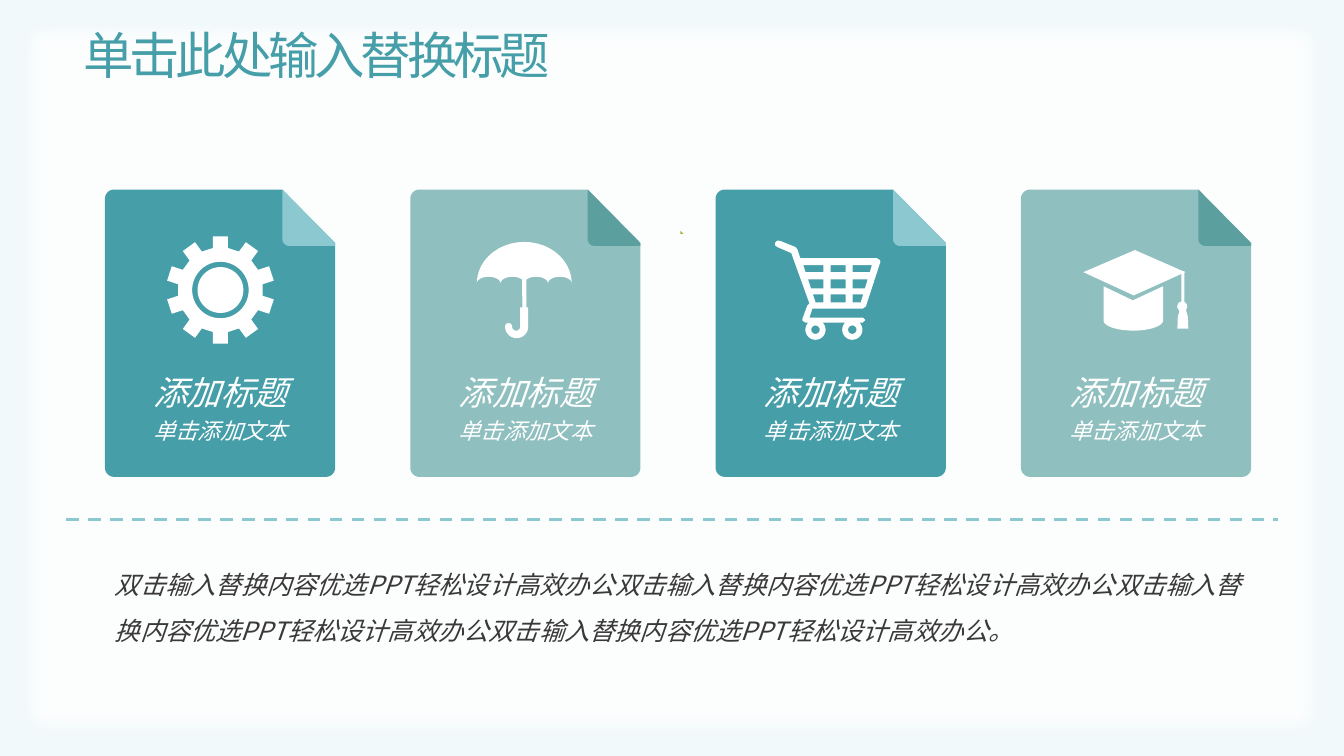
import math

import pptx
import pptx.dml.color
import pptx.enum.dml
import pptx.enum.shapes
import pptx.enum.text
import pptx.oxml
import pptx.oxml.ns
import pptx.util

Pt = pptx.util.Pt
MSO = pptx.enum.shapes.MSO_SHAPE
PP_ALIGN = pptx.enum.text.PP_ALIGN
JP, SC = "Noto Sans CJK JP", "Noto Sans CJK SC"
WHITE, TEAL, SAGE, AQUA, PINE = "FFFFFF", "459EA8", "8FBFBE", "8BC8CF", "5B9F9E"

TITLE = "单击此处输入替换标题"
BODY = "双击输入替换内容优选PPT轻松设计高效办公" * 4 + "。"
CARDS = [  # heading, caption, card colour, fold colour, icon
    ("添加标题", "单击添加文本", TEAL, AQUA, "gear"),
    ("添加标题", "单击添加文本", SAGE, PINE, "umbrella"),
    ("添加标题", "单击添加文本", TEAL, AQUA, "cart"),
    ("添加标题", "单击添加文本", SAGE, PINE, "cap"),
]
CARD_LEFT, CARD_TOP, CARD_PITCH = 75, 135.4, 218.1
CARD_W, CARD_H, FOLD_X, FOLD_Y = 164.4, 205.2, 126.7, 38.2

CART_FRAME = [
    (46.1, 36.7), (56.9, 41), (58.3, 42.5), (60.5, 49), (115.2, 49), (117.4, 50.4),
    (117.6, 51.8), (107.3, 83.5), (105.1, 85), (69.1, 85), (67, 91.4), (105.1, 91.4),
    (106.9, 93.2), (105.1, 95), (64.1, 95), (61.9, 93.6), (61.9, 92.5), (65.5, 82.8),
    (67, 81.4), (54, 45.4), (43.9, 41), (42.4, 39.7), (42.6, 37.6), (44.2, 36.4),
]
CART_ROWS = [(54, 59), (64.1, 70.6), (74.9, 80.6)]


def rgb(h):
    return pptx.dml.color.RGBColor.from_string(h)


def arc(cx, cy, rx, a0, a1, ry=None):
    """Points on an ellipse from angle a0 to a1, in degrees clockwise from the right."""
    n = max(4, round(abs(a1 - a0) / 8))
    angles = [math.radians(a0 + (a1 - a0) * i / n) for i in range(n + 1)]
    return [(cx + rx * math.cos(a), cy + (ry or rx) * math.sin(a)) for a in angles]


def paint(sp, color):
    sp.shadow.inherit = False
    sp.fill.solid()
    sp.fill.fore_color.rgb = rgb(color)
    sp.line.fill.background()
    return sp


def outline(left, top, color, *contours):
    """One filled freeform; contours are measured from (left, top)."""
    placed = [[(Pt(left + x), Pt(top + y)) for x, y in c] for c in contours]
    fb = s.shapes.build_freeform(*placed[0][0])
    fb.add_line_segments(placed[0][1:])
    for c in placed[1:]:
        fb.move_to(*c[0])
        fb.add_line_segments(c[1:])
    return paint(fb.convert_to_shape(), color)


def preset(kind, x, y, w, h, color):
    return paint(s.shapes.add_shape(kind, Pt(x), Pt(y), Pt(w), Pt(h)), color)


def write(x, y, w, h, lines, color, font, align, spacing, italic=True):
    """Text box with one paragraph per (text, size) pair."""
    tf = s.shapes.add_textbox(Pt(x), Pt(y), Pt(w), Pt(h)).text_frame
    tf.word_wrap = True
    for i, (text, size) in enumerate(lines):
        p = tf.add_paragraph() if i else tf.paragraphs[0]
        p.text, p.alignment, p.line_spacing = text, align, spacing
        f = p.runs[0].font
        f.size, f.italic, f.name = Pt(size), italic, font
        f.color.rgb = rgb(color)
        ea = pptx.oxml.parse_xml(f'<a:ea {pptx.oxml.ns.nsdecls("a")} typeface="{font}"/>')
        p.runs[0].font._element.append(ea)
    return tf


def gear(x, y):
    cx, cy, half, root, tip = 82.5, 71.8, 5.4, 30, 38.3
    rim = []
    for k in range(10):
        c, d = math.cos(math.radians(36 * k)), math.sin(math.radians(36 * k))
        tooth = [(-half, -root), (-half, -tip), (half, -tip), (half, -root)]
        rim += [(cx + u * c - v * d, cy + u * d + v * c) for u, v in tooth]
    outline(x, y, WHITE, rim, arc(cx, cy, 20.2, 0, 360), arc(cx, cy, 16.4, 0, 360))


def umbrella(x, y):
    cx, rim, r, bump = 81.4, 67, 33.9, 8.48

    def scallop(i, a0, a1):
        return arc(cx + i * bump, rim, bump, a0, a1, 4.7)

    outline(x, y, WHITE,
            arc(cx, rim, r, 180, 360, 29.6) + scallop(3, 0, -180) + scallop(1, 0, -145)
            + [(82.9, 84.2), (84.2, 84.2)] + arc(75.95, 97.9, 8.25, 0, 180)
            + arc(70.2, 97.9, 2.5, 180, 360) + arc(75.6, 97.9, 2.9, 180, 0)
            + [(78.5, 84.2), (80, 84.2)] + scallop(-1, -35, -180) + scallop(-3, 0, -180))


def cart(x, y):
    holes, wheels = [], []
    for t, b in CART_ROWS:
        dt, db = t - CART_ROWS[0][0], b - CART_ROWS[0][0]
        columns = [(62.6 + .33 * dt, 77, 77, 62.6 + .33 * db),
                   (82.1, 92.9, 92.9, 82.1),
                   (97.9, 111.6 - .3 * dt, 111.6 - .3 * db, 97.9)]
        holes += [list(zip(c, (t, t, b, b))) for c in columns]
    for cx in (71.3, 97.6):
        wheels += [arc(cx, 100.1, 7.2, -45, 225), arc(cx, 100.1, 3, 0, 360)]
    outline(x, y, WHITE, CART_FRAME, *holes, *wheels)


def cap(x, y):
    outline(x, y, WHITE, [(44.6, 59), (81.4, 43.2), (117.4, 59), (80.6, 75.6)])
    preset(MSO.RECTANGLE, x + 114.5, y + 58.3, 2.2, 23.8, WHITE)
    preset(MSO.OVAL, x + 111.6, y + 79.9, 7.2, 7.2, WHITE)
    outline(x, y, WHITE, [(113.8, 84.2), (117.4, 84.2), (119.2, 91), (119.5, 99.4),
                          (111.7, 99.4), (112, 91)])
    outline(x, y, WHITE, [(101.5, 69.1), (79.9, 79.2), (59, 69.1)]
            + arc(80.25, 93.6, 21.25, 180, 0, 7.2))


ICONS = {"gear": gear, "umbrella": umbrella, "cart": cart, "cap": cap}

prs = pptx.Presentation()
prs.slide_width, prs.slide_height = Pt(960), Pt(540)
s = prs.slides.add_slide(prs.slide_layouts[6])
s.background.fill.solid()
s.background.fill.fore_color.rgb = rgb("F1F9FB")

panel = preset(MSO.RECTANGLE, 8, 8, 944, 525, WHITE)
white = panel._element.spPr.find(".//" + pptx.oxml.ns.qn("a:srgbClr"))
a_ns = pptx.oxml.ns.nsdecls("a")
white.append(pptx.oxml.parse_xml(f'<a:alpha {a_ns} val="85000"/>'))
effects = panel._element.spPr.find(pptx.oxml.ns.qn("a:effectLst"))
effects.append(pptx.oxml.parse_xml(f'<a:softEdge {a_ns} rad="{Pt(12.5)}"/>'))

tf = write(52.6, 18, 828, 46.8, [(TITLE, 36)], TEAL, JP, PP_ALIGN.LEFT, 0.9, italic=False)
tf.vertical_anchor = pptx.enum.text.MSO_ANCHOR.MIDDLE
tf.paragraphs[0].runs[0].font._element.set("spc", "-300")
write(75, 392.4, 818.6, 72.7, [(BODY, 18)], "3A3838", SC, PP_ALIGN.JUSTIFY, 1.5)

divider = s.shapes.add_connector(pptx.enum.shapes.MSO_CONNECTOR.STRAIGHT,
                                 Pt(47.5), Pt(370.8), Pt(913), Pt(370.8))
divider.line.color.rgb = rgb(AQUA)
divider.line.width = Pt(2.25)
divider.line.dash_style = pptx.enum.dml.MSO_LINE.DASH
divider._element.spPr.append(pptx.oxml.parse_xml(f"<a:effectLst {a_ns}/>"))

outline(486, 164.9, "9BBB40", [(0, 0), (2.2, 2.2), (0, 2.2)])

for i, (heading, caption, color, fold, icon) in enumerate(CARDS):
    x, y, r = CARD_LEFT + i * CARD_PITCH, CARD_TOP, 6.5
    outline(x, y, color, [(FOLD_X, 0), (CARD_W, FOLD_Y)]
            + arc(CARD_W - r, CARD_H - r, r, 0, 90) + arc(r, CARD_H - r, r, 90, 180)
            + arc(r, r, r, 180, 270))
    outline(x, y, fold, [(FOLD_X, 0), (CARD_W, FOLD_Y), (CARD_W, 40.3)]
            + arc(FOLD_X + 5, 35.3, 5, 90, 180))
    write(x + 10, 256.3, 144.7, 65.5, [(heading, 24), (caption, 16)],
          WHITE, JP, PP_ALIGN.CENTER, 1.2)
    ICONS[icon](x, y)

prs.save("out.pptx")
